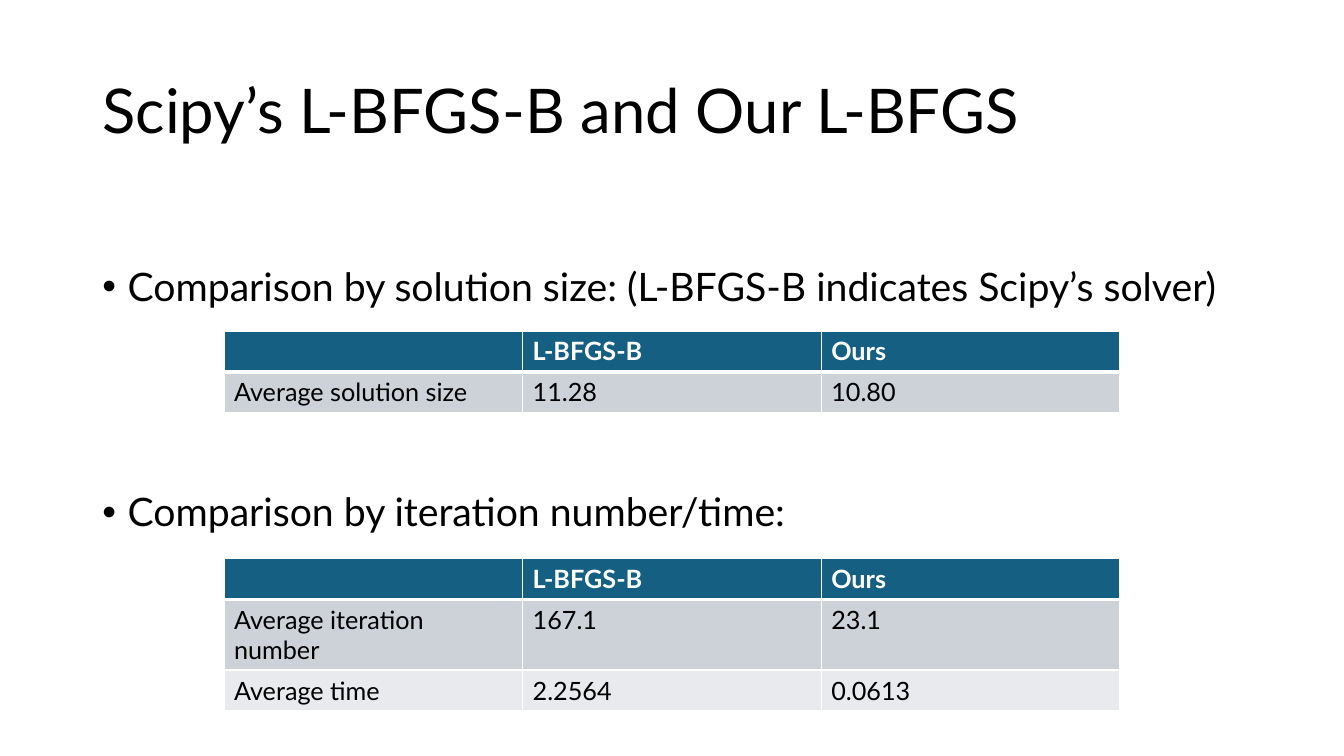
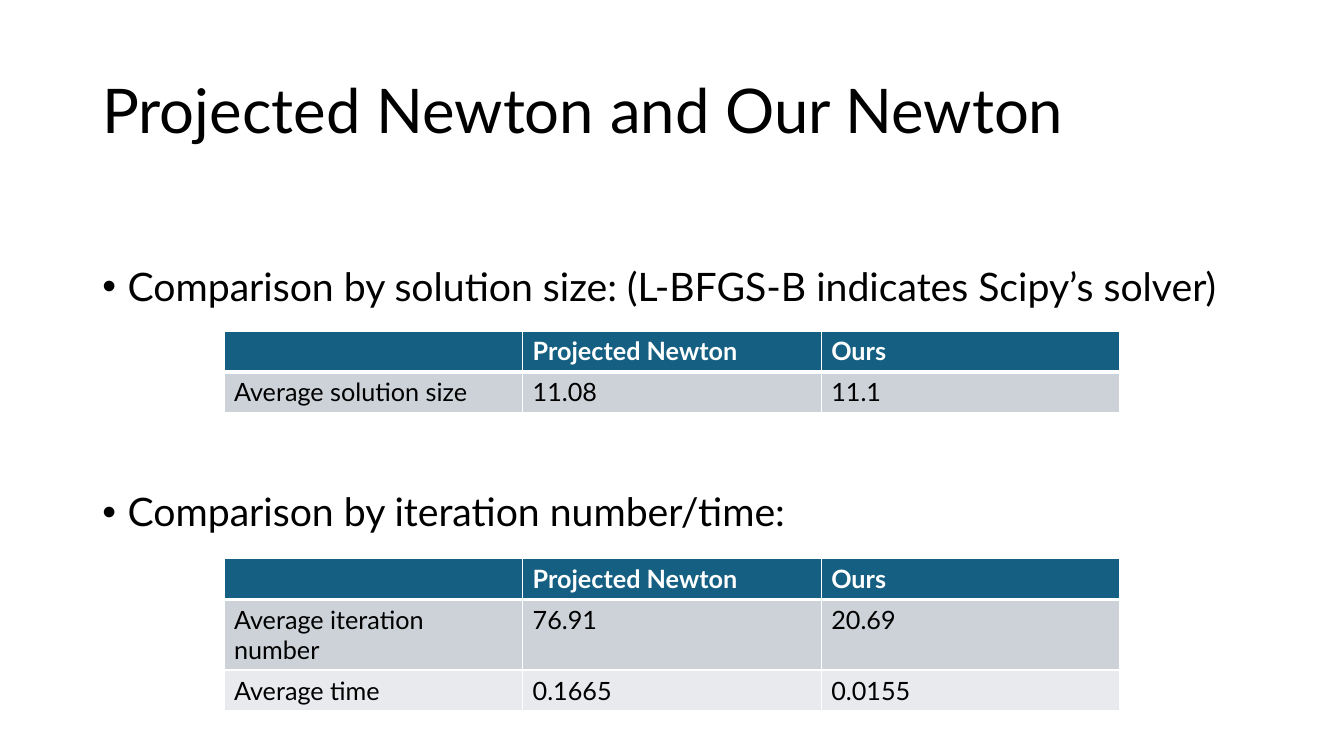
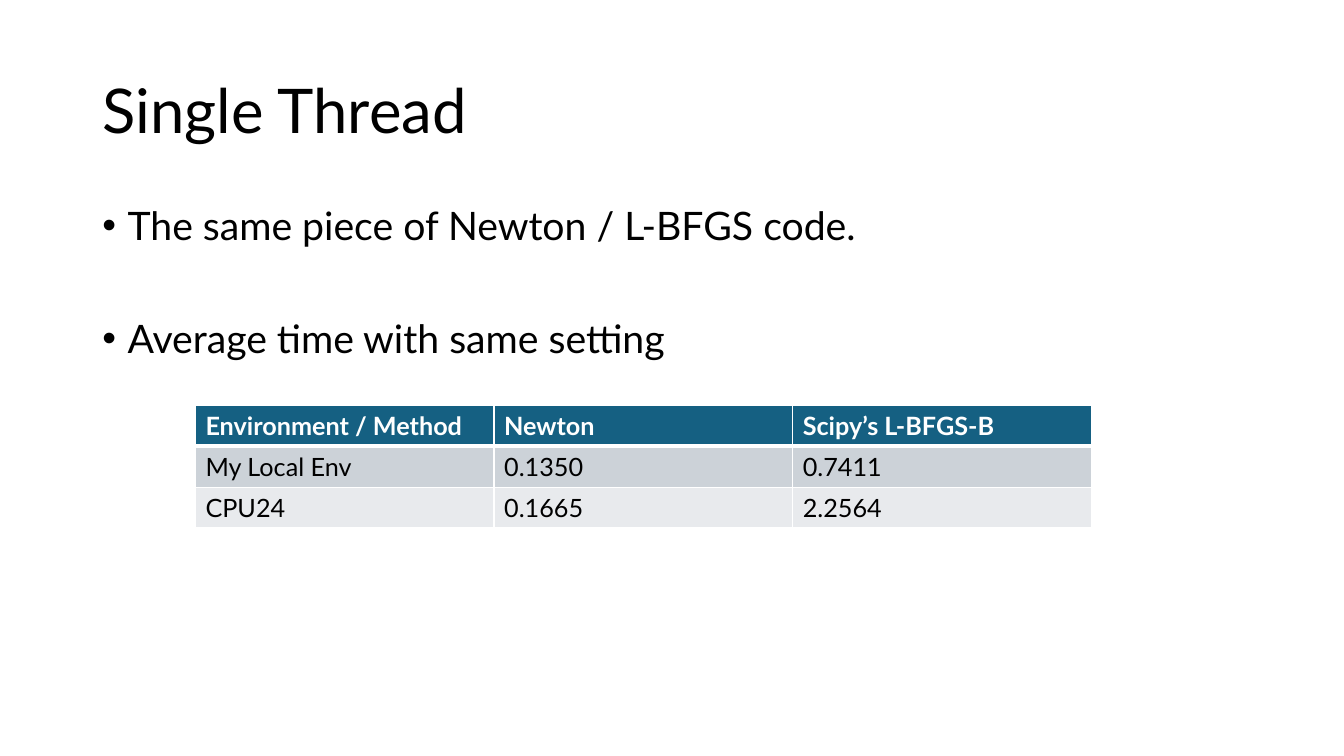
import pptx
import pptx.dml.color
import pptx.enum.text
import pptx.oxml
import pptx.oxml.ns
import pptx.util

Pt = pptx.util.Pt
NS = pptx.oxml.ns.nsdecls("a")


def color(value):
    return pptx.dml.color.RGBColor.from_string(value)


def add_text(p, text, font="Lato", size=18, fill="000000", bold=False):
    r = p.add_run()
    r.text = text
    r.font.name = font
    r.font.size = Pt(size)
    r.font.bold = bold
    r.font.color.rgb = color(fill)


def add_borders(cell, widths, line="FFFFFF"):
    """Put cell borders, given as {side: points}, ahead of the cell fill."""
    tc_pr = cell._tc.get_or_add_tcPr()
    for i, side in enumerate("LRTB"):
        tc_pr.insert(i, pptx.oxml.parse_xml(
            f'<a:ln{side} {NS} w="{Pt(widths[side])}"><a:solidFill>'
            f'<a:srgbClr val="{line}"/></a:solidFill></a:ln{side}>'))


class Deck:
    LEFT, WIDTH = 66, 828
    HEADER = "156082"
    BANDS = ("CCD2D8", "E8EAED")
    COLUMN, ROW = 213.33, 29.2

    def __init__(self):
        self.prs = pptx.Presentation()
        self.prs.slide_width = Pt(960)
        self.prs.slide_height = Pt(540)
        self.s = None

    def place(self, sp, top, height):
        sp.left, sp.top = Pt(self.LEFT), Pt(top)
        sp.width, sp.height = Pt(self.WIDTH), Pt(height)
        tf = sp.text_frame
        tf.word_wrap = True
        tf.auto_size = pptx.enum.text.MSO_AUTO_SIZE.NONE
        return tf

    def slide(self, title):
        self.s = self.prs.slides.add_slide(self.prs.slide_layouts[1])
        tf = self.place(self.s.shapes.title, 28.75, 104.4)
        tf.vertical_anchor = pptx.enum.text.MSO_ANCHOR.MIDDLE
        p = tf.paragraphs[0]
        p.alignment = pptx.enum.text.PP_ALIGN.LEFT
        p.line_spacing = 0.9
        add_text(p, title, size=44)

    def bullets(self, items, top, gap):
        """Fill the body with a list whose items are gap points apart."""
        tf = self.place(self.s.placeholders[1], top, 486.5 - top)
        for i, item in enumerate(items):
            p = tf.add_paragraph() if i else tf.paragraphs[0]
            p.line_spacing = 0.9
            p.space_before = Pt(gap if i else 10)
            p_pr = p._p.get_or_add_pPr()
            p_pr.set("marL", str(Pt(18)))
            p_pr.set("indent", str(Pt(-18)))
            p_pr.append(pptx.oxml.parse_xml(f'<a:buFont {NS} typeface="Arial"/>'))
            p_pr.append(pptx.oxml.parse_xml(f'<a:buChar {NS} char="•"/>'))
            add_text(p, item, size=28)

    def table(self, left, top, rows):
        n = len(rows[0])
        table = self.s.shapes.add_table(
            len(rows), n, Pt(left), Pt(top),
            Pt(n * self.COLUMN), Pt(len(rows) * self.ROW)).table
        table.horz_banding = False
        for i, row in enumerate(rows):
            table.rows[i].height = Pt(self.ROW)
            header = i == 0
            for j, text in enumerate(row):
                cell = table.cell(i, j)
                cell.fill.solid()
                cell.fill.fore_color.rgb = color(
                    self.HEADER if header else self.BANDS[(i - 1) % 2])
                add_borders(cell, {"L": 1, "R": 1, "T": 3 if i == 1 else 1,
                                   "B": 3 if header else 1})
                add_text(cell.text_frame.paragraphs[0], text, bold=header,
                         fill="FFFFFF" if header else "000000")

    def comparison(self, title, method, size, iterations, time):
        """Build a slide that compares a reference method with ours."""
        self.slide(title)
        self.bullets(["Comparison by solution size: (L-BFGS-B indicates Scipy’s solver)",
                      "Comparison by iteration number/time:"], top=187.5, gap=130.6)
        head = ["", method, "Ours"]
        self.table(160, 236.4, [head, ["Average solution size", *size]])
        self.table(160, 399, [head, ["Average iteration number", *iterations],
                              ["Average time", *time]])


def main():
    deck = Deck()

    # Solver comparisons
    deck.comparison("Scipy’s L-BFGS-B and Our L-BFGS", "L-BFGS-B",
                    size=["11.28", "10.80"], iterations=["167.1", "23.1"],
                    time=["2.2564", "0.0613"])
    deck.comparison("Projected Newton and Our Newton", "Projected Newton",
                    size=["11.08", "11.1"], iterations=["76.91", "20.69"],
                    time=["0.1665", "0.0155"])

    # Single-thread timing
    deck.slide("Single Thread")
    deck.bullets(["The same piece of Newton / L-BFGS code.",
                  "Average time with same setting"], top=144, gap=50.2)
    deck.table(139.6, 289.6, [["Environment / Method", "Newton", "Scipy’s L-BFGS-B"],
                              ["My Local Env", "0.1350", "0.7411"],
                              ["CPU24", "0.1665", "2.2564"]])

    deck.prs.save("out.pptx")


if __name__ == "__main__":
    main()
